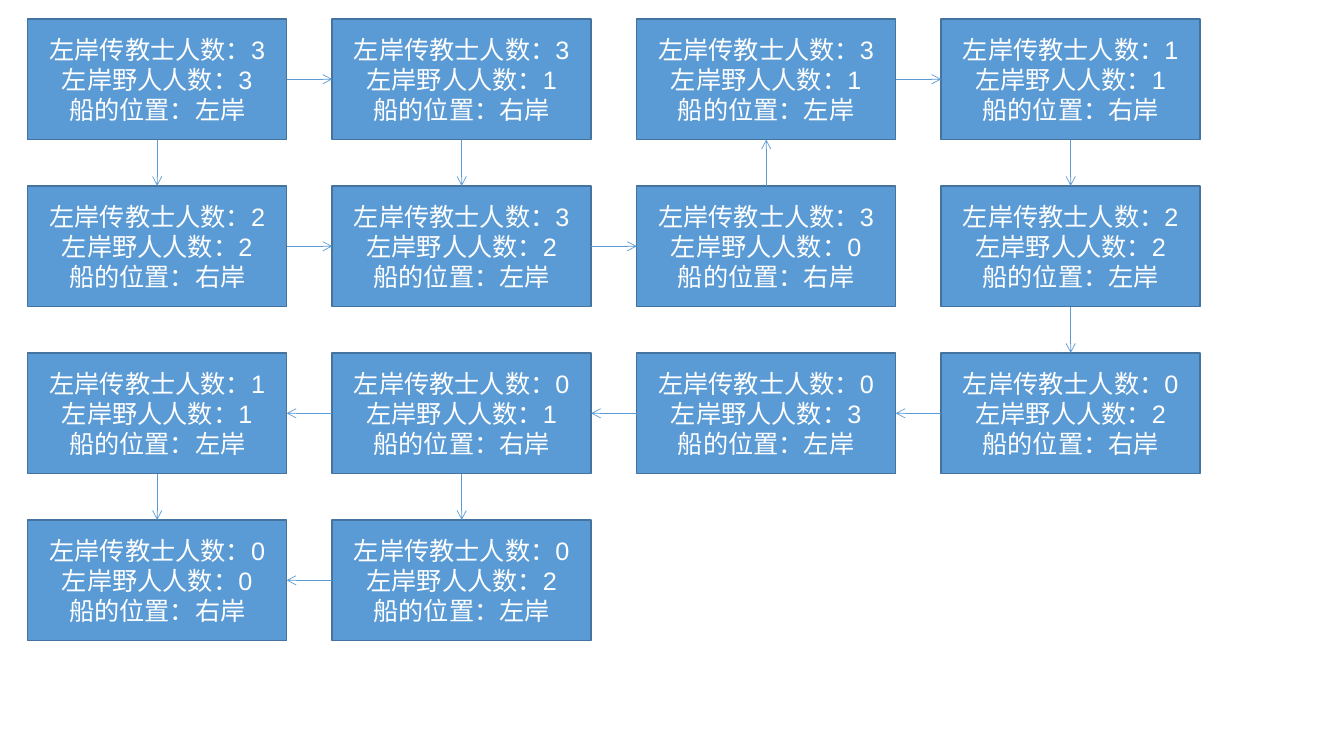
"""Build the state diagram of the missionaries and cannibals river crossing."""
from lxml import etree
from pptx import Presentation
from pptx.dml.color import RGBColor
from pptx.enum.shapes import MSO_CONNECTOR, MSO_SHAPE
from pptx.enum.text import MSO_ANCHOR, PP_ALIGN
from pptx.oxml.ns import qn
from pptx.util import Pt

PROCESS = MSO_SHAPE.FLOWCHART_PROCESS
STRAIGHT = MSO_CONNECTOR.STRAIGHT
MIDDLE = MSO_ANCHOR.MIDDLE
CENTER = PP_ALIGN.CENTER

COLORS = {"fill": "5B9BD5", "border": "43739E", "arrow": "5B9BD5", "text": "FFFFFF"}
FONT = {"name": "Arial", "size": Pt(18)}
LEFT, TOP = 19.8, 13.5
COL_PITCH, ROW_PITCH = 217.5, 119.3
BOX_W, BOX_H = 185, 86.2
TOP_SITE, LEFT_SITE, BOTTOM_SITE, RIGHT_SITE = range(4)
SITES = {
    (0, 1): (RIGHT_SITE, LEFT_SITE),
    (0, -1): (LEFT_SITE, RIGHT_SITE),
    (1, 0): (BOTTOM_SITE, TOP_SITE),
    (-1, 0): (TOP_SITE, BOTTOM_SITE),
}

STATES = [
    [(3, 3, "左"), (3, 1, "右"), (3, 1, "左"), (1, 1, "右")],
    [(2, 2, "右"), (3, 2, "左"), (3, 0, "右"), (2, 2, "左")],
    [(1, 1, "左"), (0, 1, "右"), (0, 3, "左"), (0, 2, "右")],
    [(0, 0, "右"), (0, 2, "左")],
]
ROUTES = [
    [(0, 0), (0, 1), (1, 1)],
    [(0, 0), (1, 0), (1, 1), (1, 2), (0, 2), (0, 3), (1, 3), (2, 3),
     (2, 2), (2, 1), (2, 0), (3, 0)],
    [(2, 1), (3, 1), (3, 0)],
]


class Diagram:
    """Hold the style and the current slide."""

    def __init__(self, slide, colors, font):
        self.shapes = slide.shapes
        self.colors = {k: RGBColor.from_string(v) for k, v in colors.items()}
        self.font = font

    def outline(self, line, color, width):
        """Set the colour and width of a line."""
        line.color.rgb = self.colors[color]
        line.width = Pt(width)

    def box(self, row, col, text):
        """Add a state box at a grid cell."""
        sp = self.shapes.add_shape(
            PROCESS, Pt(LEFT + col * COL_PITCH), Pt(TOP + row * ROW_PITCH),
            Pt(BOX_W), Pt(BOX_H))
        sp.shadow.inherit = False
        sp.fill.solid()
        sp.fill.fore_color.rgb = self.colors["fill"]
        self.outline(sp.line, "border", 1)
        tf = sp.text_frame
        tf.word_wrap = True
        tf.vertical_anchor = MIDDLE
        tf.text = text
        for p in tf.paragraphs:
            p.alignment = CENTER
            for r in p.runs:
                for name, value in self.font.items():
                    setattr(r.font, name, value)
                r.font.color.rgb = self.colors["text"]
        return sp

    def arrow(self, start, end, sites):
        """Add an arrow glued to two boxes."""
        cx = self.shapes.add_connector(STRAIGHT, 0, 0, 0, 0)
        cx.begin_connect(start, sites[0])
        cx.end_connect(end, sites[1])
        self.outline(cx.line, "arrow", 0.5)
        sp_pr = cx.element.spPr
        etree.SubElement(sp_pr.find(qn("a:ln")), qn("a:tailEnd"), type="arrow")
        etree.SubElement(sp_pr, qn("a:effectLst"))


prs = Presentation()
prs.slide_width, prs.slide_height = Pt(960), Pt(540)
diagram = Diagram(prs.slides.add_slide(prs.slide_layouts[6]), COLORS, FONT)

boxes = {}
for row, states in enumerate(STATES):
    for col, (missionaries, cannibals, bank) in enumerate(states):
        text = f"左岸传教士人数：{missionaries}\n左岸野人人数：{cannibals}\n船的位置：{bank}岸"
        boxes[row, col] = diagram.box(row, col, text)

for route in ROUTES:
    for start, end in zip(route, route[1:]):
        step = end[0] - start[0], end[1] - start[1]
        diagram.arrow(boxes[start], boxes[end], SITES[step])

prs.save("out.pptx")
